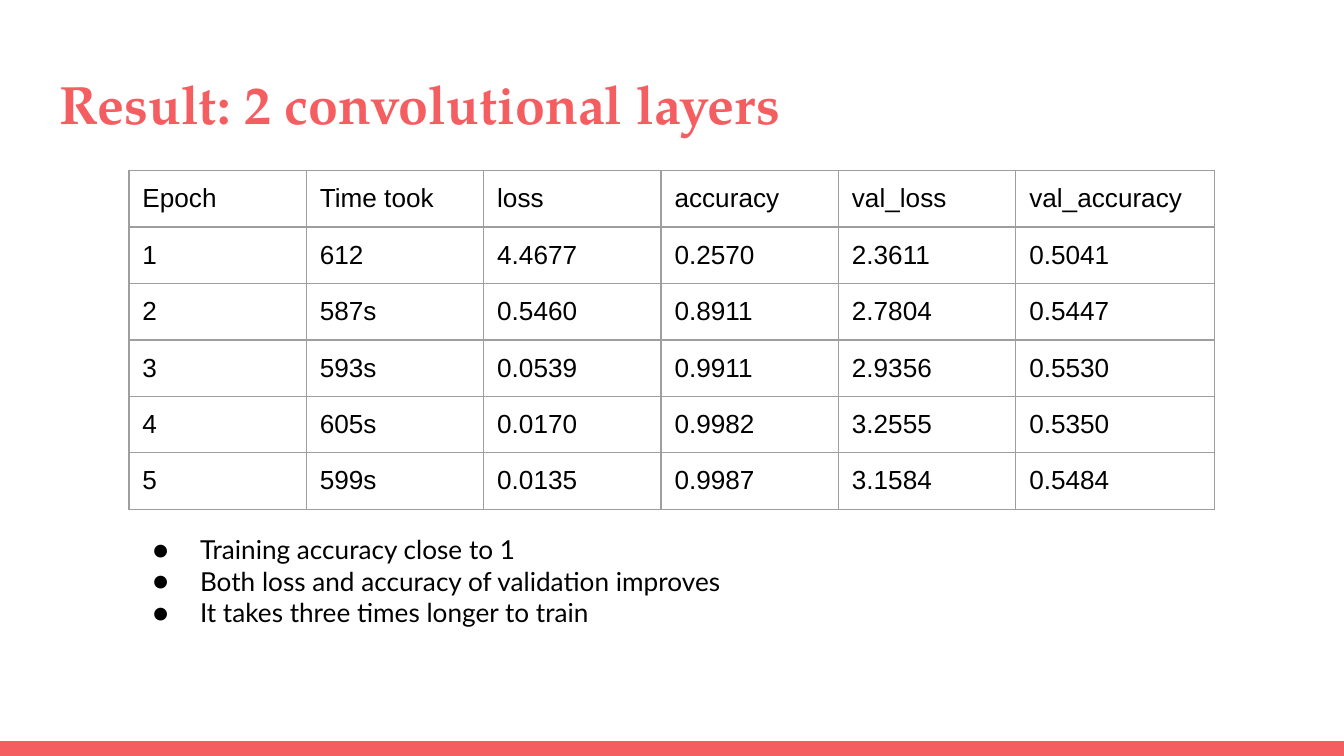
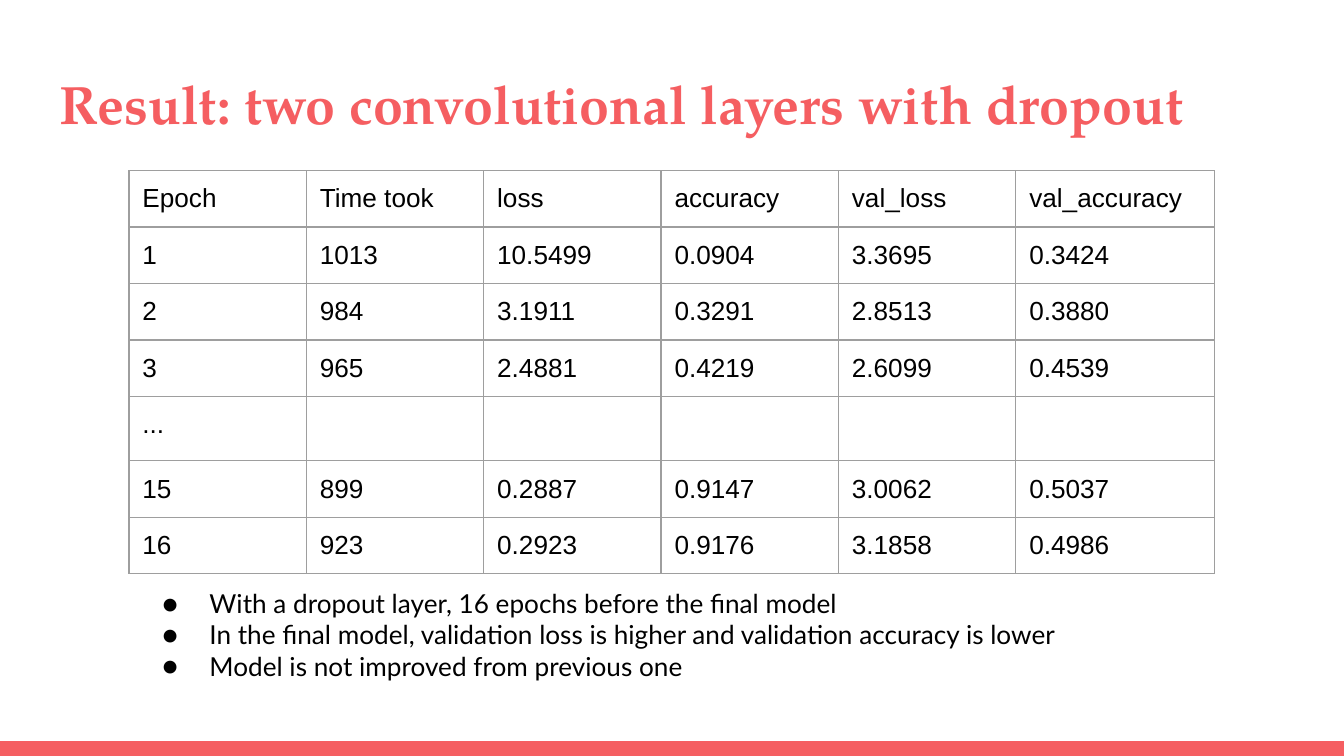
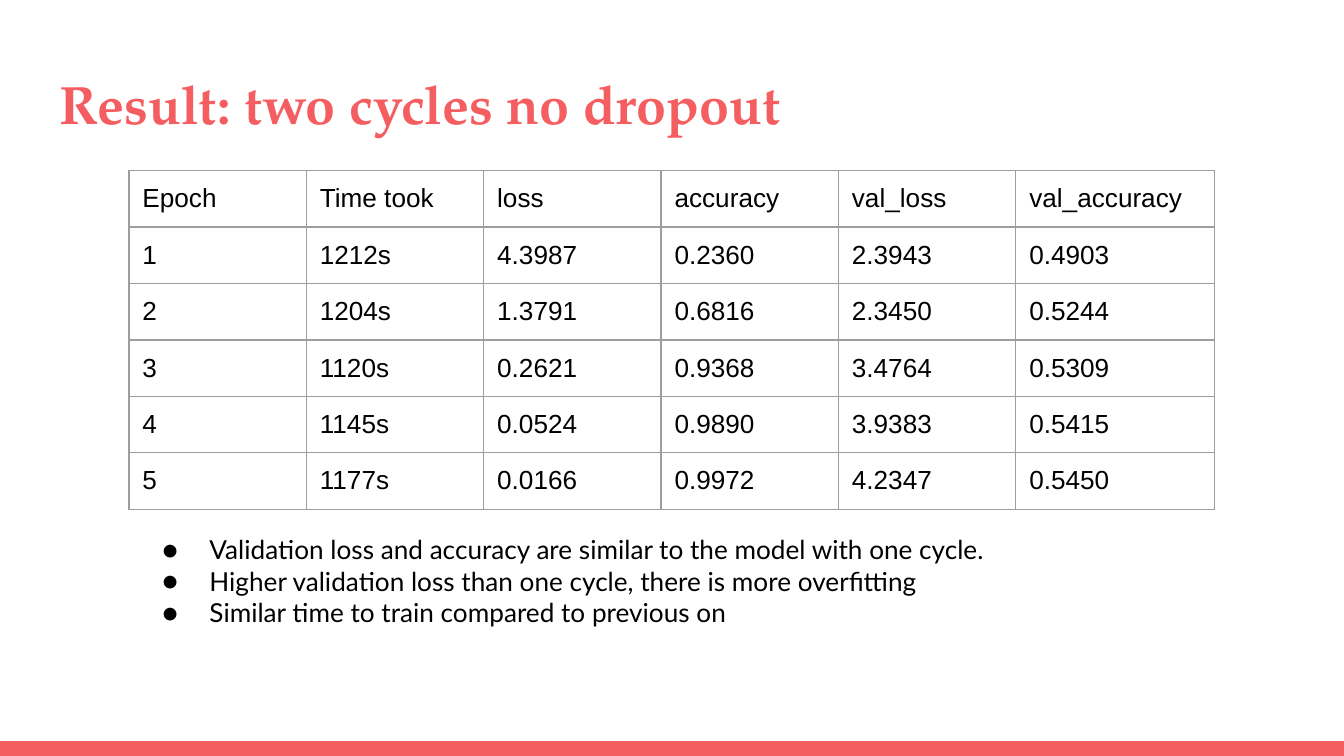
from lxml import etree
from pptx import Presentation
from pptx.dml.color import RGBColor
from pptx.enum.shapes import MSO_SHAPE
from pptx.enum.text import MSO_ANCHOR, MSO_AUTO_SIZE, PP_ALIGN
from pptx.oxml.ns import qn
from pptx.util import Inches, Pt

RECT = MSO_SHAPE.RECTANGLE
TOP = MSO_ANCHOR.TOP
LEFT = PP_ALIGN.LEFT
NO_FIT = MSO_AUTO_SIZE.NONE
GROW = MSO_AUTO_SIZE.SHAPE_TO_FIT_TEXT

COLORS = {"accent": "F55E61", "text": "000000", "grid": "9E9E9E", "page": "FFFFFF"}
TITLE_FONT, TABLE_FONT, BODY_FONT = "TeX Gyre Pagella", "Arial", "Lato"
BODY_SIZE = 14
SLIDE_WIDTH = Inches(10)
SLIDE_HEIGHT = SLIDE_WIDTH * 9 // 16
BAND_HEIGHT = Inches(0.11)
INSET = Inches(0.1)
COL_WIDTHS = [1.32] * 5 + [1.48]
ROW_HEIGHT, GAP_ROW_HEIGHT = 0.42, 0.48
HEADERS = ["Epoch", "Time took", "loss", "accuracy", "val_loss", "val_accuracy"]

RESULTS = [
    {
        "title": "Result: 2 convolutional layers",
        "rows": [
            ["1", "612", "4.4677", "0.2570", "2.3611", "0.5041"],
            ["2", "587s", "0.5460", "0.8911", "2.7804", "0.5447"],
            ["3", "593s", "0.0539", "0.9911", "2.9356", "0.5530"],
            ["4", "605s", "0.0170", "0.9982", "3.2555", "0.5350"],
            ["5", "599s", "0.0135", "0.9987", "3.1584", "0.5484"],
        ],
        "notes_box": (0.89, 3.87, 8.23, 1.14),
        "bullets": [
            "Training accuracy close to 1",
            "Both loss and accuracy of validation improves",
            "It takes three times longer to train",
        ],
    },
    {
        "title": "Result: two convolutional layers with dropout",
        "rows": [
            ["1", "1013", "10.5499", "0.0904", "3.3695", "0.3424"],
            ["2", "984", "3.1911", "0.3291", "2.8513", "0.3880"],
            ["3", "965", "2.4881", "0.4219", "2.6099", "0.4539"],
            ["...", "", "", "", "", ""],
            ["15", "899", "0.2887", "0.9147", "3.0062", "0.5037"],
            ["16", "923", "0.2923", "0.9176", "3.1858", "0.4986"],
        ],
        "notes_box": (0.96, 4.27, 7.79, 1.38),
        "bullets": [
            "With a dropout layer, 16 epochs before the final model",
            "In the final model, validation loss is higher and validation accuracy is lower",
            "Model is not improved from previous one",
        ],
    },
    {
        "title": "Result: two cycles no dropout",
        "rows": [
            ["1", "1212s", "4.3987", "0.2360", "2.3943", "0.4903"],
            ["2", "1204s", "1.3791", "0.6816", "2.3450", "0.5244"],
            ["3", "1120s", "0.2621", "0.9368", "3.4764", "0.5309"],
            ["4", "1145s", "0.0524", "0.9890", "3.9383", "0.5415"],
            ["5", "1177s", "0.0166", "0.9972", "4.2347", "0.5450"],
        ],
        "notes_box": (0.96, 3.87, 6.75, 0.91),
        "bullets": [
            "Validation loss and accuracy are similar to the model with one cycle.",
            "Higher validation loss than one cycle, there is more overfitting",
            "Similar time to train compared to previous on",
        ],
    },
]


def rgb(name):
    return RGBColor.from_string(COLORS[name])


class Deck:
    def __init__(self):
        self.prs = Presentation()
        self.prs.slide_width, self.prs.slide_height = SLIDE_WIDTH, SLIDE_HEIGHT
        self.s = None

    def new_slide(self):
        self.s = self.prs.slides.add_slide(self.prs.slide_layouts[5])
        fill = self.s.background.fill
        fill.solid()
        fill.fore_color.rgb = rgb("page")

    def band(self):
        sp = self.s.shapes.add_shape(
            RECT, 0, SLIDE_HEIGHT - BAND_HEIGHT, SLIDE_WIDTH, BAND_HEIGHT)
        sp.shadow.inherit = False
        sp.fill.solid()
        sp.fill.fore_color.rgb = rgb("accent")
        sp.line.fill.background()

    def run(self, p, text, font, size, color, bold=False):
        r = p.add_run()
        r.text = text
        r.font.name, r.font.size, r.font.bold = font, Pt(size), bold
        r.font.color.rgb = rgb(color)

    def frame(self, tf, fit):
        tf.word_wrap, tf.auto_size, tf.vertical_anchor = True, fit, TOP
        tf.margin_left = tf.margin_right = tf.margin_top = tf.margin_bottom = INSET

    def title(self, text):
        sp = self.s.shapes.title
        sp.left, sp.top, sp.width, sp.height = map(Inches, (0.34, 0.43, 9.32, 0.68))
        self.frame(sp.text_frame, NO_FIT)
        p = sp.text_frame.paragraphs[0]
        p.alignment = LEFT
        self.run(p, text, TITLE_FONT, 28.8, "accent", bold=True)

    def table(self, rows):
        heights = [ROW_HEIGHT if all(row) else GAP_ROW_HEIGHT for row in rows]
        table = self.s.shapes.add_table(
            len(rows), len(COL_WIDTHS), Inches(0.96), Inches(1.27),
            Inches(sum(COL_WIDTHS)), Inches(sum(heights))).table
        table.first_row = table.horz_banding = False
        for col, width in zip(table.columns, COL_WIDTHS):
            col.width = Inches(width)
        for i, row in enumerate(rows):
            table.rows[i].height = Inches(heights[i])
            for j, text in enumerate(row):
                self.cell(table.cell(i, j), text)

    def cell(self, cell, text):
        cell.margin_left = cell.margin_right = INSET
        cell.margin_top = cell.margin_bottom = INSET
        p = cell.text_frame.paragraphs[0]
        if text:
            self.run(p, text, TABLE_FONT, BODY_SIZE, "text")
        else:
            etree.SubElement(p._p, qn("a:endParaRPr"), sz=str(BODY_SIZE * 100))
        tcPr = cell._tc.get_or_add_tcPr()
        for side in ("a:lnL", "a:lnR", "a:lnT", "a:lnB"):
            ln = etree.SubElement(tcPr, qn(side), w=str(Pt(0.75)))
            fill = etree.SubElement(ln, qn("a:solidFill"))
            etree.SubElement(fill, qn("a:srgbClr"), val=COLORS["grid"])
        cell.fill.background()

    def bullets(self, box, lines):
        tf = self.s.shapes.add_textbox(*map(Inches, box)).text_frame
        self.frame(tf, GROW)
        for i, line in enumerate(lines):
            p = tf.add_paragraph() if i else tf.paragraphs[0]
            pPr = p._p.get_or_add_pPr()
            pPr.set("marL", str(Inches(0.5)))
            pPr.set("indent", str(Inches(-0.35)))
            color = etree.SubElement(pPr, qn("a:buClr"))
            etree.SubElement(color, qn("a:srgbClr"), val=COLORS["text"])
            etree.SubElement(pPr, qn("a:buSzPts"), val=str(BODY_SIZE * 100))
            etree.SubElement(pPr, qn("a:buFont"), typeface=BODY_FONT)
            etree.SubElement(pPr, qn("a:buChar"), char="●")
            self.run(p, line, BODY_FONT, BODY_SIZE, "text")


def main():
    deck = Deck()
    for result in RESULTS:
        deck.new_slide()
        deck.band()
        deck.table([HEADERS] + result["rows"])
        deck.title(result["title"])
        deck.bullets(result["notes_box"], result["bullets"])
    deck.prs.save("out.pptx")


if __name__ == "__main__":
    main()
